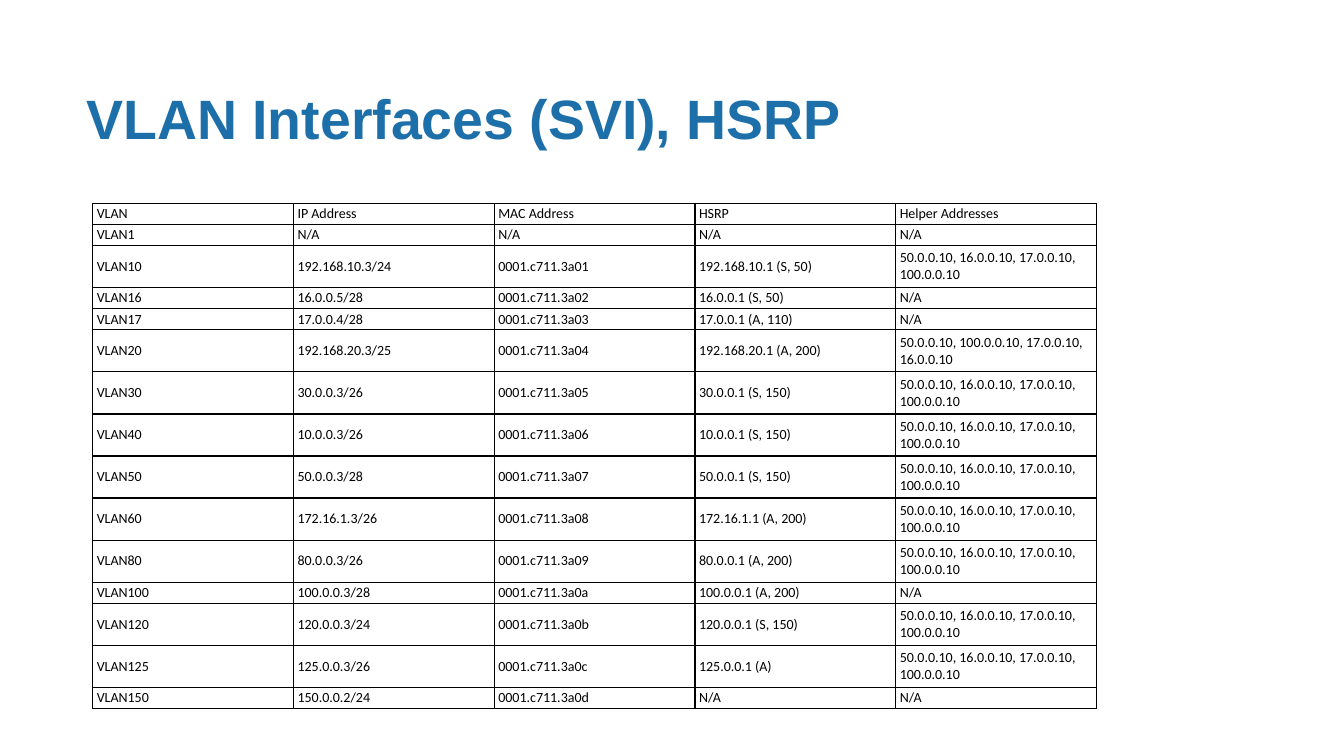
from lxml.etree import SubElement
from pptx import Presentation
from pptx.dml.color import RGBColor
from pptx.enum.text import MSO_ANCHOR
from pptx.oxml.ns import qn
from pptx.util import Cm, Pt

COLOURS = {"title": "1D6FA9", "text": "000000", "border": "000000"}
NONE = "N/A"
HELPERS = "50.0.0.10, 16.0.0.10, 17.0.0.10, 100.0.0.10"
HELPERS_VLAN20 = "50.0.0.10, 100.0.0.10, 17.0.0.10, 16.0.0.10"

HEADER = ("VLAN", "IP Address", "MAC Address", "HSRP", "Helper Addresses")
# VLAN number, IP address, HSRP, helper addresses; MAC addresses count up in hex
INTERFACES = [
    (10, "192.168.10.3/24", "192.168.10.1 (S, 50)", HELPERS),
    (16, "16.0.0.5/28", "16.0.0.1 (S, 50)", NONE),
    (17, "17.0.0.4/28", "17.0.0.1 (A, 110)", NONE),
    (20, "192.168.20.3/25", "192.168.20.1 (A, 200)", HELPERS_VLAN20),
    (30, "30.0.0.3/26", "30.0.0.1 (S, 150)", HELPERS),
    (40, "10.0.0.3/26", "10.0.0.1 (S, 150)", HELPERS),
    (50, "50.0.0.3/28", "50.0.0.1 (S, 150)", HELPERS),
    (60, "172.16.1.3/26", "172.16.1.1 (A, 200)", HELPERS),
    (80, "80.0.0.3/26", "80.0.0.1 (A, 200)", HELPERS),
    (100, "100.0.0.3/28", "100.0.0.1 (A, 200)", NONE),
    (120, "120.0.0.3/24", "120.0.0.1 (S, 150)", HELPERS),
    (125, "125.0.0.3/26", "125.0.0.1 (A)", HELPERS),
    (150, "150.0.0.2/24", NONE, NONE),
]


class SlideBuilder:
    """Holds the page and the shared style of its elements."""

    title_font, title_size = "Arial", 39.6
    table_font, table_size = "Calibri", 10
    column_width = Cm(5.06)
    single_row, double_row = Cm(0.53), Cm(1.06)

    def __init__(self, page):
        self.page = page

    def style(self, para, name, size, colour, bold=False):
        para.font.name = name
        para.font.size = Pt(size)
        para.font.bold = bold
        para.font.color.rgb = RGBColor.from_string(COLOURS[colour])

    def title(self, text, left, top, width, height):
        frame = self.page.shapes.add_textbox(left, top, width, height).text_frame
        frame.word_wrap = True
        frame.vertical_anchor = MSO_ANCHOR.MIDDLE
        frame.text = text
        self.style(frame.paragraphs[0], self.title_font, self.title_size, "title", True)

    def table(self, rows, left, top):
        heights = [self.double_row if "," in row[-1] else self.single_row for row in rows]
        columns = len(rows[0])
        table = self.page.shapes.add_table(
            len(rows), columns, left, top, self.column_width * columns, sum(heights)
        ).table
        table.first_row = table.horz_banding = False
        for column in table.columns:
            column.width = self.column_width
        for table_row, height, texts in zip(table.rows, heights, rows):
            table_row.height = height
            for cell, text in zip(table_row.cells, texts):
                self.cell(cell, text)

    def cell(self, cell, text):
        cell.text = text
        cell.vertical_anchor = MSO_ANCHOR.MIDDLE
        cell.margin_left = cell.margin_right = Cm(0.1)
        cell.margin_top = cell.margin_bottom = Cm(0.05)
        self.style(cell.text_frame.paragraphs[0], self.table_font, self.table_size, "text")
        self.borders(cell)
        cell.fill.background()

    def borders(self, cell):
        properties = cell._tc.get_or_add_tcPr()
        for side in ("a:lnL", "a:lnR", "a:lnT", "a:lnB"):
            line = SubElement(properties, qn(side), w=str(Pt(1)))
            fill = SubElement(line, qn("a:solidFill"))
            SubElement(fill, qn("a:srgbClr"), val=COLOURS["border"])


def main():
    deck = Presentation()
    deck.slide_width, deck.slide_height = Cm(33.87), Cm(19.05)
    builder = SlideBuilder(deck.slides.add_slide(deck.slide_layouts[6]))
    builder.title("VLAN Interfaces (SVI), HSRP", Cm(1.93), Cm(1.88), Cm(29.21), Cm(2.16))
    rows = [HEADER, ("VLAN1", NONE, NONE, NONE, NONE)]
    for index, (vlan, address, hsrp, helpers) in enumerate(INTERFACES, start=1):
        rows.append((f"VLAN{vlan}", address, f"0001.c711.3a{index:02x}", hsrp, helpers))
    builder.table(rows, Cm(2.34), Cm(5.13))
    deck.save("out.pptx")


if __name__ == "__main__":
    main()
